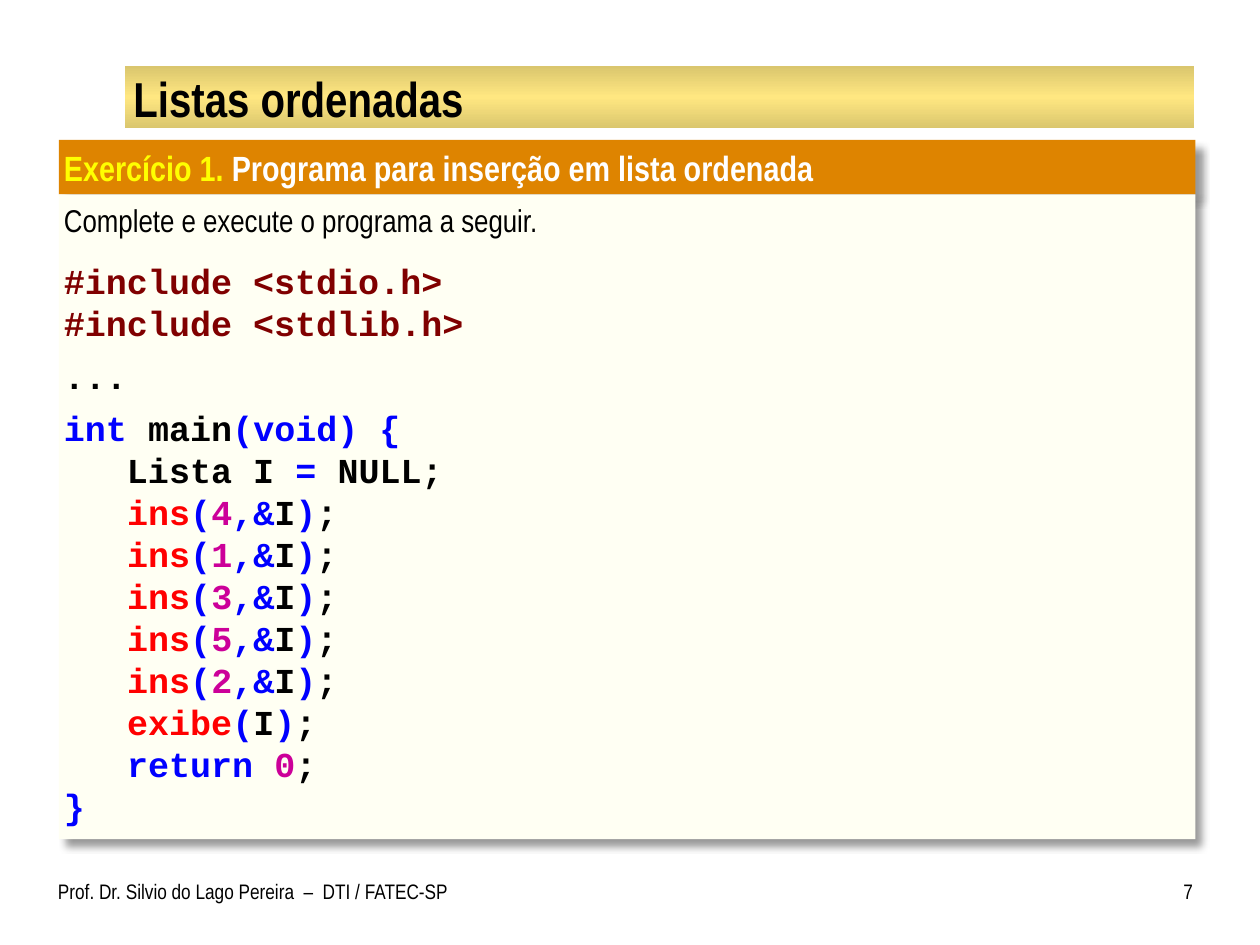
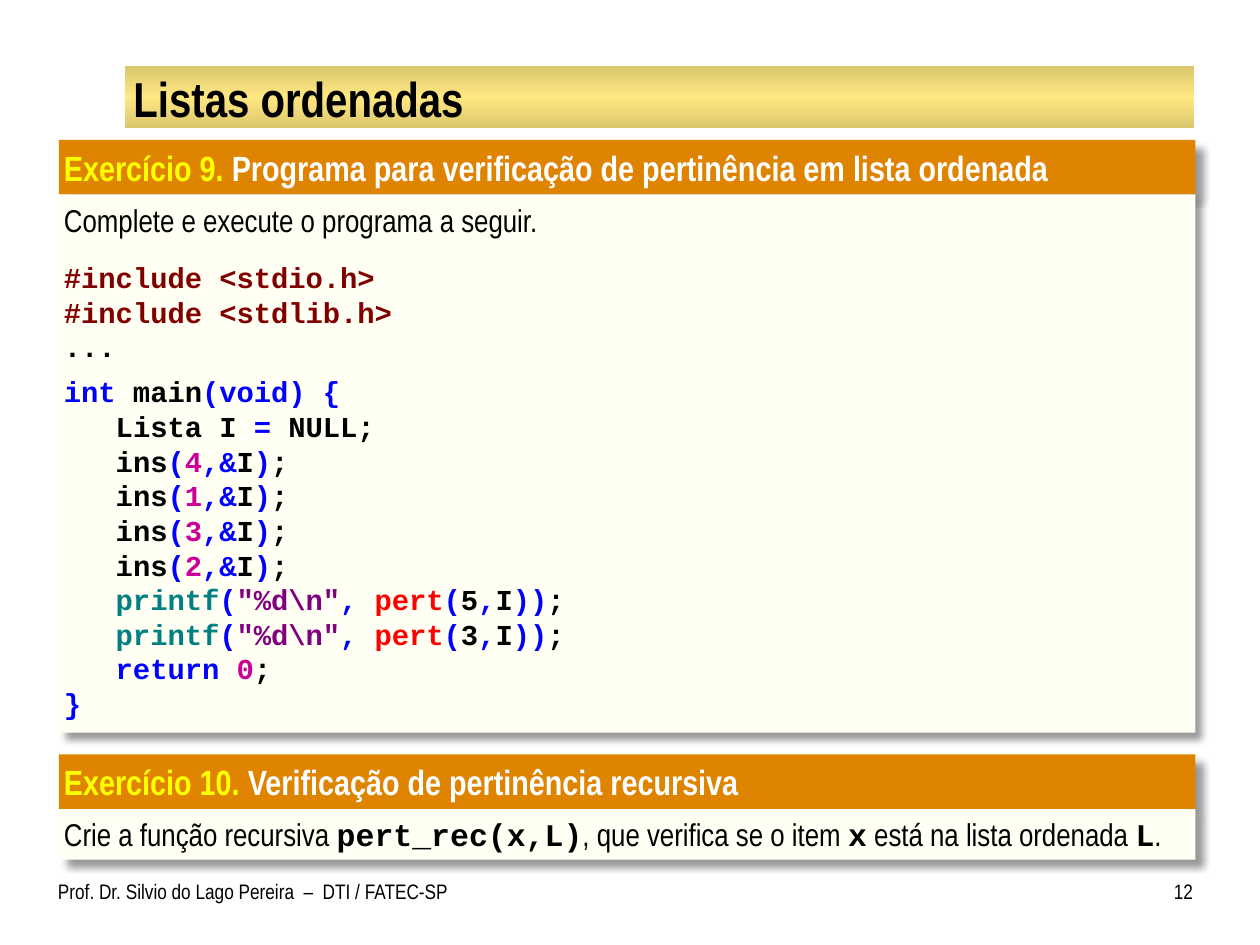
import copy
import pptx
import pptx.util
import pptx.dml.color
import pptx.enum.shapes
import pptx.enum.text
import pptx.oxml.ns
import lxml.etree

Cm, Pt = pptx.util.Cm, pptx.util.Pt
ALIGN = pptx.enum.text.PP_ALIGN
ANCHOR = pptx.enum.text.MSO_ANCHOR
SANS, MONO = "Arial Narrow", "Courier New"

TITLE = "Listas ordenadas"
AUTHOR = "Prof. Dr. Silvio do Lago Pereira  –  DTI / FATEC-SP"
GOLD = [(0, "DAC66E"), (0.5, "FFE781"), (1, "DAC66E")]
ORANGE, CREAM = "DE8400", "FFFFF3"
LEFT, WIDE, BAND = 1.19, 22.91, 1.1

STYLES = {
    "t": (SANS, "000000", False),
    "h": (SANS, "000000", True),
    "y": (SANS, "FFFF00", True),
    "w": (SANS, "FFFFFF", True),
    "k": (MONO, "000000", True),
    "d": (MONO, "800000", True),
    "b": (MONO, "0000FF", True),
    "r": (MONO, "FF0000", True),
    "n": (MONO, "CC0099", True),
    "g": (MONO, "008080", True),
    "p": (MONO, "800080", True),
}

ASK = (6, 18, "tComplete e execute o programa a seguir.")
HEAD = ["d#include <stdio.h>", "d#include <stdlib.h>", "k..."]
START = ["bint|k main|b(void) {", "k   Lista I |b=|k NULL;"]
END = ["k   |breturn |n0|k;", "b}"]
INS = "k   |{}ins|b(|n{}|b,&|kI|b)|k;"
PRINT = r'k   |gprintf|b(|p"%d\n"|b, |rpert|b(|k{}|b,|kI|b))|k;'
SHOW = "k   |rexibe|b(|kI|b)|k;"


def code(size, gaps, calls):
    """Return the paragraphs of a program, with gaps before some lines."""
    lines = HEAD + START + calls + END
    return [(gaps.get(i, 0), size, line) for i, line in enumerate(lines)]


FIRST = code(20, {0: 12, 2: 6, 3: 6},
             [INS.format("r", n) for n in (4, 1, 3, 5, 2)] + [SHOW])
NINTH = code(16.5, {0: 12, 3: 6},
             [INS.format("k", n) for n in (4, 1, 3, 2)]
             + [PRINT.format(n) for n in (5, 3)])
TENTH = (6, 18, "tCrie a função recursiva |kpert_rec(x,L)|t, que verifica "
                "se o item |kx|t está na lista ordenada |kL|t.")

SLIDES = [
    ("7", [(2.82, 13, "yExercício 1.|w Programa para inserção em lista ordenada",
            [ASK] + FIRST)]),
    ("12", [(2.82, 10.85, "yExercício 9.|w Programa para verificação de "
             "pertinência em lista ordenada", [ASK] + NINTH),
            (15.21, 1.02, "yExercício 10.|w Verificação de pertinência recursiva",
             [TENTH])]),
]


def rgb(code):
    """Turn a hex string into a colour."""
    return pptx.dml.color.RGBColor.from_string(code)


def write(shape, paras, pads, align=ALIGN.LEFT, anchor=ANCHOR.TOP):
    """Fill a shape with styled paragraphs."""
    frame = shape.text_frame
    frame.word_wrap = True
    frame.vertical_anchor = anchor
    (frame.margin_left, frame.margin_top,
     frame.margin_right, frame.margin_bottom) = map(Cm, pads)
    for i, (gap, size, text) in enumerate(paras):
        para = frame.add_paragraph() if i else frame.paragraphs[0]
        para.alignment = align
        para.space_before = Pt(gap)
        for part in text.split("|"):
            run = para.add_run()
            run.text = part[1:]
            font = run.font
            font.name, tone, font.bold = STYLES[part[0]]
            font.size = Pt(size)
            font.color.rgb = rgb(tone)


def rect(slide, *box):
    """Add a plain rectangle without line or shadow."""
    kind = pptx.enum.shapes.MSO_SHAPE.RECTANGLE
    shape = slide.shapes.add_shape(kind, *map(Cm, box))
    shape.line.fill.background()
    shape.shadow.inherit = False
    return shape


def shade(shape):
    """Give a shape a soft shadow to the lower right."""
    qn = pptx.oxml.ns.qn
    sub = lxml.etree.SubElement
    effect = shape.element.spPr.find(qn("a:effectLst"))
    outer = sub(effect, qn("a:outerShdw"), blurRad=str(Pt(4)),
                dist=str(Pt(6)), dir="2700000", algn="tl", rotWithShape="0")
    tone = sub(outer, qn("a:srgbClr"), val="000000")
    sub(tone, qn("a:alpha"), val="40000")


def panel(slide, top, high, fill, paras, right, align):
    """Add a shadowed box of text that grows with its content."""
    shape = rect(slide, LEFT, top, WIDE, high)
    shape.fill.solid()
    shape.fill.fore_color.rgb = rgb(fill)
    shade(shape)
    write(shape, paras, (0.1, 0.13, right, 0.13), align)
    shape.text_frame.auto_size = pptx.enum.text.MSO_AUTO_SIZE.SHAPE_TO_FIT_TEXT


def gild(slide, layout):
    """Put the golden title bar on the layout."""
    bar = rect(slide, 2.52, 1.33, 21.56, 1.26)
    bar.fill.gradient()
    bar.fill.gradient_angle = 90
    stops = bar.element.xpath(".//a:gsLst")[0]
    stops.append(copy.deepcopy(stops[0]))
    for stop, (place, tone) in zip(bar.fill.gradient_stops, GOLD):
        stop.position = place
        stop.color.rgb = rgb(tone)
    layout.shapes.element.insert(2, bar.element)


def label(slide, left, width, text, pads, align):
    """Add a footer text."""
    box = slide.shapes.add_textbox(*map(Cm, (left, 17.58, width, 1.07)))
    write(box, [(0, 12, "t" + text)], pads, align)


def main():
    """Build and save the slides."""
    deck = pptx.Presentation()
    deck.slide_width, deck.slide_height = Cm(25.4), Cm(19.05)
    layout = deck.slide_layouts[5]
    for i, (page, tasks) in enumerate(SLIDES):
        slide = deck.slides.add_slide(layout)
        if i == 0:
            gild(slide, layout)
        title = slide.shapes.title
        title.left, title.top, title.width, title.height = map(
            Cm, (2.54, 1.37, 21.51, 1.19))
        write(title, [(0, 28, "h" + TITLE)], (0.15, 0.03, 0.15, 0.03),
              anchor=ANCHOR.MIDDLE)
        for top, high, head, paras in tasks:
            panel(slide, top, BAND, ORANGE, [(0, 20, head)], 0.25, ALIGN.LEFT)
            panel(slide, top + BAND, high, CREAM, paras, 0.1, ALIGN.JUSTIFY)
        label(slide, 1.17, 8.31, AUTHOR, (0, 0.13, 0.25, 0.13), ALIGN.LEFT)
        label(slide, 23.06, 0.99, page, (0.25, 0.13, 0, 0.13), ALIGN.RIGHT)
    deck.save("out.pptx")


if __name__ == "__main__":
    main()
